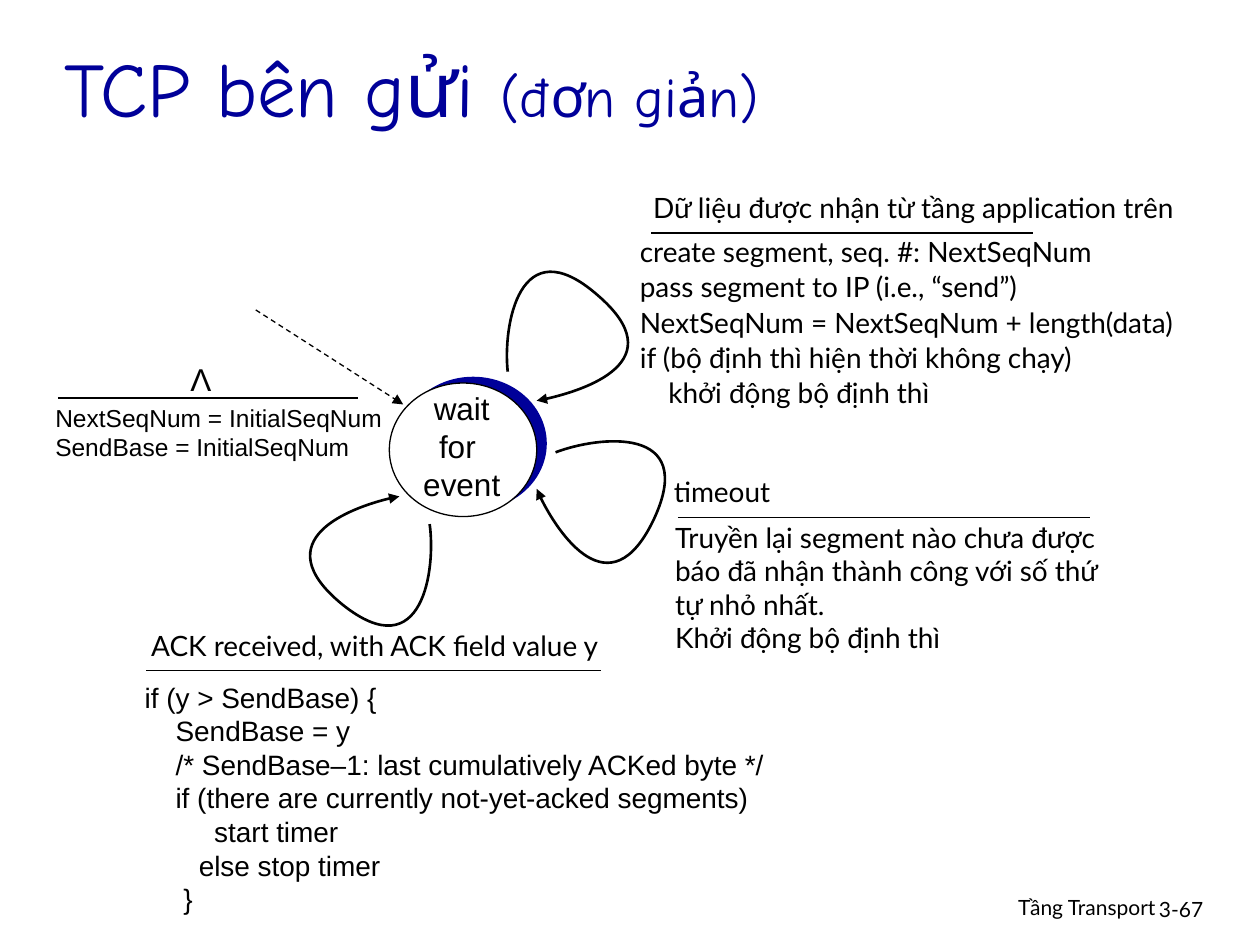
import pptx
import pptx.util
import pptx.dml.color
import pptx.enum.dml
import pptx.enum.shapes
import pptx.enum.text
import pptx.oxml
import pptx.oxml.ns

Inches = pptx.util.Inches
Pt = pptx.util.Pt
RGB = pptx.dml.color.RGBColor.from_string
ALIGN = pptx.enum.text.PP_ALIGN
DRAWING = pptx.oxml.ns.nsdecls("a")
COLORS = {"navy": "000099", "black": "000000", "white": "FFFFFF"}

deck = pptx.Presentation()
deck.slide_width = Inches(10)
deck.slide_height = Inches(7.5)
slide = deck.slides.add_slide(deck.slide_layouts[5])


def add_text(box, lines, size, font="Lato", align=ALIGN.LEFT, wrap=False, spacing=1.0):
    frame = slide.shapes.add_textbox(*map(Inches, box)).text_frame
    frame.word_wrap = wrap
    frame.auto_size = pptx.enum.text.MSO_AUTO_SIZE.SHAPE_TO_FIT_TEXT
    frame.text = "\n".join(lines)
    for paragraph in frame.paragraphs:
        paragraph.alignment = align
        paragraph.line_spacing = spacing
        paragraph.font.size = Pt(size)
        paragraph.font.name = font
        paragraph.font.color.rgb = RGB(COLORS["black"])


def style_line(shape, width, arrow=False):
    shape.line.color.rgb = RGB(COLORS["black"])
    shape.line.width = Pt(width)
    properties = shape.element.spPr
    if arrow:
        tail = pptx.oxml.parse_xml(f'<a:tailEnd {DRAWING} type="triangle"/>')
        properties.find(pptx.oxml.ns.qn("a:ln")).append(tail)
    if properties.find(pptx.oxml.ns.qn("a:effectLst")) is None:
        properties.append(pptx.oxml.parse_xml(f"<a:effectLst {DRAWING}/>"))


title = slide.shapes.title
title.left, title.top, title.width, title.height = map(Inches, (0.41, 0.2, 8.46, 0.98))
title.text_frame.vertical_anchor = pptx.enum.text.MSO_ANCHOR.MIDDLE
heading = title.text_frame.paragraphs[0]
heading.alignment = ALIGN.LEFT
heading.font.name = "Comic Neue"
heading.font.color.rgb = RGB(COLORS["navy"])
for words, size in [("TCP bên gửi ", 44), ("(đơn giản)", 32)]:
    run = heading.add_run()
    run.text = words
    run.font.size = Pt(size)

for left, top, fill in [(3.17, 2.99, "navy"), (3.09, 3.04, "white")]:
    state = slide.shapes.add_shape(
        pptx.enum.shapes.MSO_SHAPE.OVAL, Inches(left), Inches(top), Inches(1.17), Inches(1.06))
    state.shadow.inherit = False
    state.fill.solid()
    state.fill.fore_color.rgb = RGB(COLORS[fill])
    if fill == "white":
        style_line(state, 0.75)
    else:
        state.line.fill.background()
add_text((3.26, 3.04, 0.81, 1), ["wait", "for ", "event"], 18, "Arial", ALIGN.CENTER)

add_text((1.41, 2.81, 0.37, 0.4), ["Λ"], 18, "Arial", ALIGN.CENTER)
add_text((0.34, 3.15, 2.85, 0.57),
         ["NextSeqNum = InitialSeqNum", "SendBase = InitialSeqNum"], 14, "Arial")

add_text((4.93, 1.46, 4.64, 0.37), ["Dữ liệu được nhận từ tầng application trên"],
         16, align=ALIGN.CENTER)
add_text((4.98, 1.8, 4.78, 1.5), [
    "create segment, seq. #: NextSeqNum",
    "pass segment to IP (i.e., “send”)",
    "NextSeqNum = NextSeqNum + length(data)",
    "if (bộ định thì hiện thời không chạy)",
    "    khởi động bộ định thì",
], 16, spacing=1.05)

add_text((5.22, 3.72, 1.02, 0.37), ["timeout"], 16, align=ALIGN.CENTER)
add_text((5.26, 4.08, 3.6, 1.17), [
    "Truyền lại segment nào chưa được báo đã nhận thành công với số thứ tự nhỏ nhất.",
    "Khởi động bộ định thì",
], 16, wrap=True)

add_text((1, 4.94, 3.95, 0.37), ["ACK received, with ACK field value y"],
         16, align=ALIGN.CENTER)
add_text((1.05, 5.35, 5.13, 1.97), [
    "if (y > SendBase) {",
    "    SendBase = y",
    "    /* SendBase–1: last cumulatively ACKed byte */",
    "    if (there are currently not-yet-acked segments)",
    "         start timer",
    "       else stop timer",
    "     }",
], 16, "Arial")

for left, right, y in [(0.46, 2.84, 3.16), (5.17, 8.2, 1.85), (5.38, 8.65, 4.11), (1.16, 4.77, 5.32)]:
    rule = slide.shapes.add_connector(
        pptx.enum.shapes.MSO_CONNECTOR.STRAIGHT, Inches(left), Inches(y), Inches(right), Inches(y))
    style_line(rule, 0.75)

start_arrow = slide.shapes.add_connector(
    pptx.enum.shapes.MSO_CONNECTOR.STRAIGHT, Inches(2.03), Inches(2.46), Inches(3.2), Inches(3.21))
start_arrow.line.dash_style = pptx.enum.dml.MSO_LINE.DASH
style_line(start_arrow, 0.75, arrow=True)

transition_loops = [
    [(4.03, 2.95), (3.99, 2.59), (4.12, 1.8), (4.74, 2.34), (5.36, 2.87), (4.52, 3.14), (4.26, 3.18)],
    [(4.41, 3.59), (4.75, 3.46), (5.54, 3.37), (5.19, 4.12), (4.84, 4.86), (4.35, 4.12), (4.26, 3.88)],
    [(3.41, 4.16), (3.46, 4.51), (3.36, 5.31), (2.72, 4.8), (2.08, 4.28), (2.91, 3.98), (3.17, 3.94)],
]
for controls in transition_loops:
    start, *bends = [(Inches(x), Inches(y)) for x, y in controls]
    builder = slide.shapes.build_freeform(*start)
    builder.add_line_segments(bends, close=False)
    loop = builder.convert_to_shape()
    segments = list(loop.element.iter(pptx.oxml.ns.qn("a:lnTo")))
    for first in (0, 3):
        curve = pptx.oxml.parse_xml(f"<a:cubicBezTo {DRAWING}/>")
        segments[first].addprevious(curve)
        for segment in segments[first:first + 3]:
            curve.append(segment[0])
            segment.getparent().remove(segment)
    loop.shadow.inherit = False
    loop.fill.background()
    style_line(loop, 1.5, arrow=True)

add_text((6.1, 7.05, 3.17, 0.31), ["Tầng Transport"], 12, align=ALIGN.RIGHT, wrap=True)
add_text((9.1, 7.07, 0.74, 0.3), ["3-67"], 12, wrap=True)

deck.save("out.pptx")
